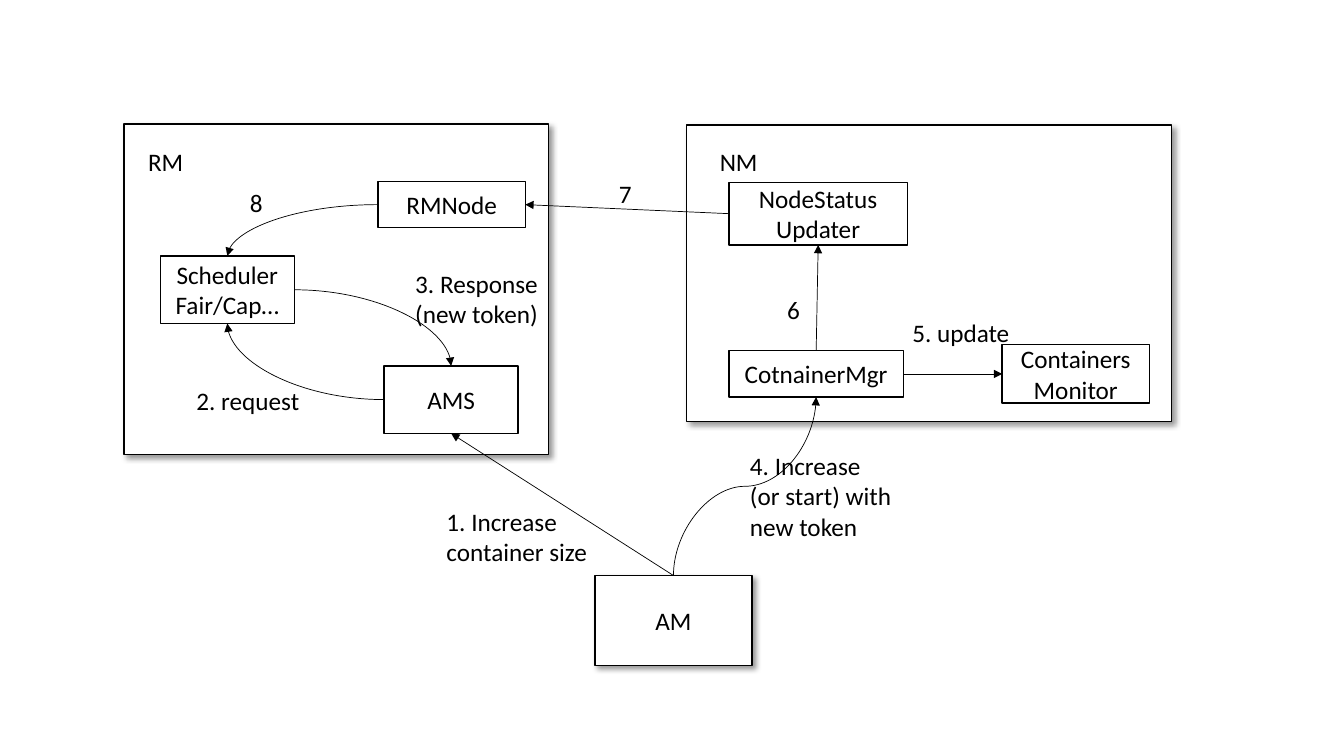
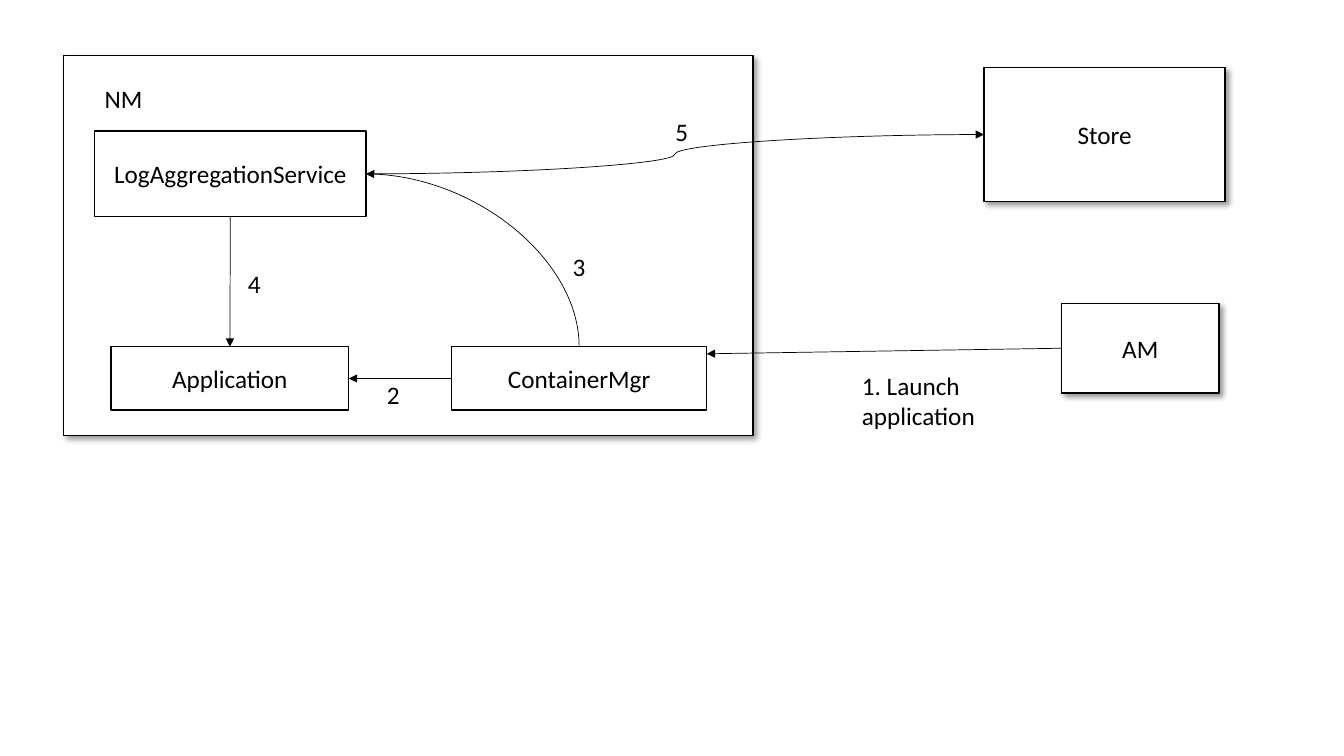
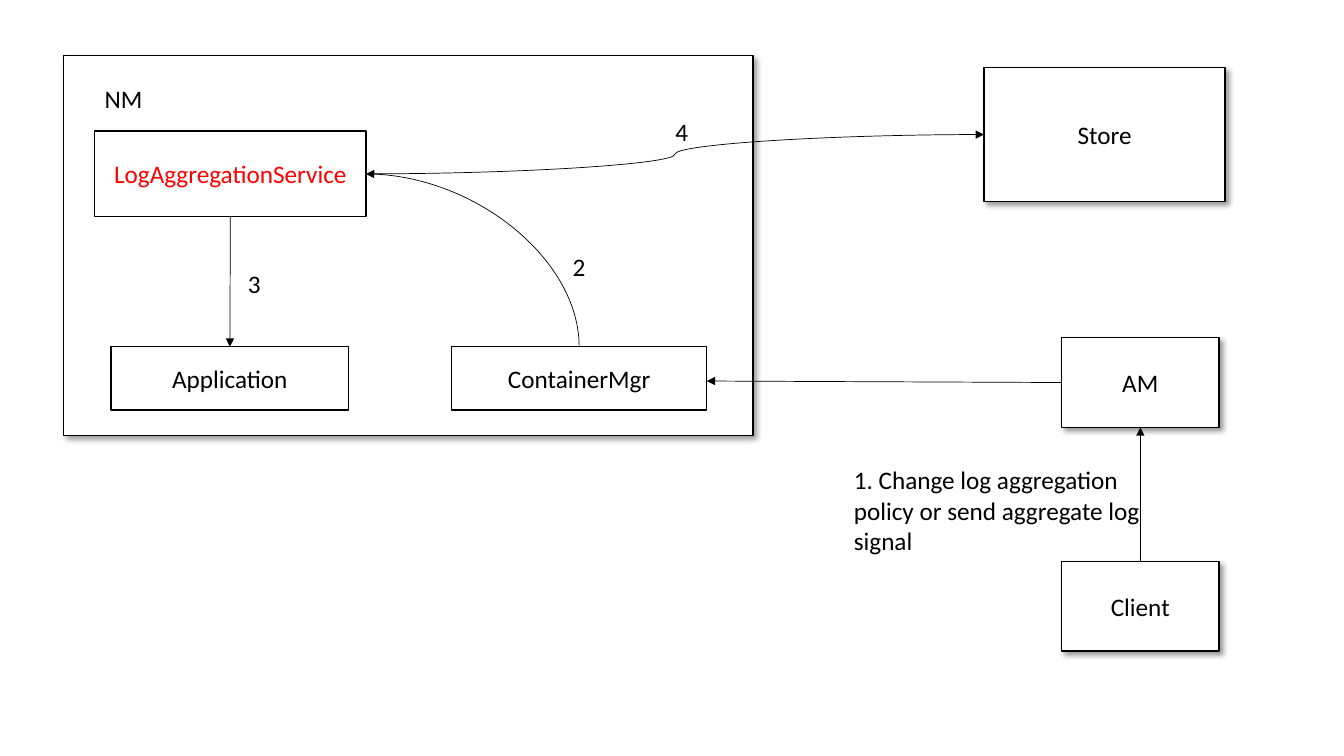
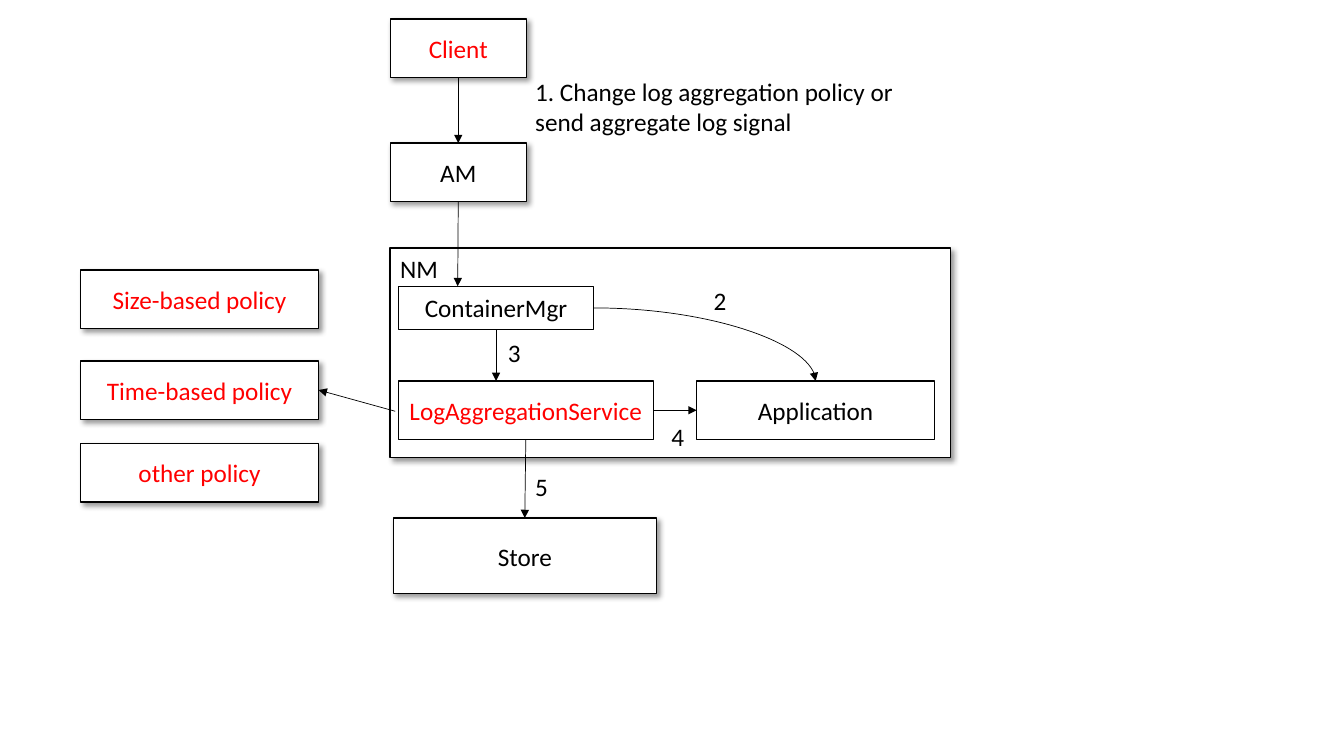
from lxml import etree
from pptx import Presentation
from pptx.dml.color import RGBColor
from pptx.enum import shapes, text
from pptx.oxml import ns
from pptx.util import Inches, Pt

BLACK = RGBColor(0x00, 0x00, 0x00)
WHITE = RGBColor(0xFF, 0xFF, 0xFF)
RED = RGBColor(0xFF, 0x00, 0x00)
FONT, SIZE = "Calibri", Pt(18)
TOP, LEFT, BOTTOM, RIGHT = range(4)
STRAIGHT, ARC, WAVE = "line", "curvedConnector2", "curvedConnector3"
NODE = (1.56, 0.89)
STORAGE = "Store"
CHANGE = "1. Change log aggregation policy or send aggregate log signal"


def child(parent, tag, **attrs):
    """Append a DrawingML element to a parent and return it."""
    return etree.SubElement(parent, ns.qn(tag), {k: str(v) for k, v in attrs.items()})


def write(tf, words, color, align):
    """Fill a text frame, one paragraph per line."""
    tf.word_wrap = True
    tf.text = words
    for p in tf.paragraphs:
        p.alignment = align
        p.font.name, p.font.size, p.font.color.rgb = FONT, SIZE, color


def box(s, x, y, w, h, words="", color=BLACK, raised=False):
    """Draw a white outlined box with centred text, raised by a shadow if asked."""
    sp = s.shapes.add_shape(shapes.MSO_SHAPE.RECTANGLE, *map(Inches, (x, y, w, h)))
    sp.shadow.inherit = False
    sp.fill.solid()
    sp.fill.fore_color.rgb = WHITE
    sp.line.color.rgb, sp.line.width = BLACK, Pt(1)
    if raised:
        effects = sp._element.spPr.find(ns.qn("a:effectLst"))
        shadow = child(effects, "a:outerShdw", blurRad=Pt(4), dist=Pt(3),
                       dir=45 * 60000, algn="tl", rotWithShape=0)
        child(child(shadow, "a:srgbClr", val=BLACK), "a:alpha", val=40000)
    if words:
        sp.text_frame.vertical_anchor = text.MSO_ANCHOR.MIDDLE
        write(sp.text_frame, words, color, text.PP_ALIGN.CENTER)
    return sp


def label(s, x, y, words, w=1.63, h=0.4):
    """Place a left-aligned label that grows with its text."""
    tb = s.shapes.add_textbox(*map(Inches, (x, y, w, h)))
    write(tb.text_frame, words, BLACK, text.PP_ALIGN.LEFT)
    tb.text_frame.auto_size = text.MSO_AUTO_SIZE.SHAPE_TO_FIT_TEXT


def locate(end):
    """Return the point of an end: a (shape, site) pair or a pair of inches."""
    sp, site = end
    if isinstance(sp, (int, float)):
        return Inches(sp), Inches(site)
    across, down = {TOP: (1, 0), LEFT: (0, 1), BOTTOM: (1, 2), RIGHT: (2, 1)}[site]
    return sp.left + sp.width * across // 2, sp.top + sp.height * down // 2


def stand_up(c, x1, y1, x2, y2):
    """Turn a connector by a quarter so that it leaves its start vertically."""
    dx, dy = x2 - x1, y2 - y1
    c.width, c.height = abs(dy), abs(dx)
    c.left, c.top = (x1 + x2 - abs(dy)) // 2, (y1 + y2 - abs(dx)) // 2
    xfrm = c._element.spPr.find(ns.qn("a:xfrm"))
    xfrm.set("rot", str(90 * 60000))
    xfrm.set("flipH", str(int(dy < 0)))
    xfrm.set("flipV", str(int(dx > 0)))


def arrow(s, start, end, route=STRAIGHT):
    """Join two ends with a thin arrow, glued wherever an end is a shape."""
    kind = shapes.MSO_CONNECTOR.STRAIGHT if route == STRAIGHT else shapes.MSO_CONNECTOR.CURVE
    points = *locate(start), *locate(end)
    c = s.shapes.add_connector(kind, *points)
    if not isinstance(start[0], (int, float)):
        c.begin_connect(*start)
    if not isinstance(end[0], (int, float)):
        c.end_connect(*end)
    c.line.color.rgb, c.line.width = BLACK, Pt(0.5)
    child(c.line._get_or_add_ln(), "a:tailEnd", type="triangle")
    props = c._element.spPr
    child(props, "a:effectLst")
    if route != STRAIGHT:
        props.find(ns.qn("a:prstGeom")).set("prst", route)
        if start[1] in (TOP, BOTTOM):
            stand_up(c, *points)


def panel(s, x, y, w, h, name, dx, dy):
    """Draw a raised panel with its name at an offset from the corner."""
    box(s, x, y, w, h, raised=True)
    label(s, x + dx, y + dy, name, 0.89)


def resource_manager(s, x, y):
    """Draw the RM panel and return its node and its master service."""
    panel(s, x, y, 4.21, 3.28, "RM", 0.14, 0.17)
    ams = box(s, x + 2.58, y + 2.4, 1.33, 0.67, "AMS")
    node = box(s, x + 2.52, y + 0.57, 1.46, 0.46, "RMNode")
    scheduler = box(s, x + 0.36, y + 1.31, 1.33, 0.67, "Scheduler\nFair/Cap…")
    arrow(s, (ams, LEFT), (scheduler, BOTTOM), ARC)
    arrow(s, (scheduler, RIGHT), (ams, TOP), ARC)
    arrow(s, (node, LEFT), (scheduler, TOP), ARC)
    label(s, x + 0.62, y + 2.54, "2. request", 1.34)
    label(s, x + 2.79, y + 1.38, "3. Response (new token)", h=0.71)
    label(s, x + 1.15, y + 0.58, "8")
    return node, ams


def node_manager(s, x, y):
    """Draw the NM panel and return its status updater and container manager."""
    panel(s, x, y, 4.81, 2.94, "NM", 0.23, 0.16)
    updater = box(s, x + 0.42, y + 0.57, 1.77, 0.62, "NodeStatus\nUpdater")
    manager = box(s, x + 0.42, y + 2.24, 1.73, 0.46, "CotnainerMgr")
    monitor = box(s, x + 3.13, y + 2.18, 1.46, 0.58, "Containers\nMonitor")
    arrow(s, (manager, RIGHT), (monitor, LEFT))
    arrow(s, (manager, TOP), (updater, BOTTOM))
    label(s, x + 2.14, y + 1.86, "5. update")
    label(s, x + 0.9, y + 1.63, "6")
    return updater, manager


def resize_slide(s):
    """Show how a container is resized."""
    node, ams = resource_manager(s, 1.23, 1.23)
    updater, manager = node_manager(s, 6.81, 1.24)
    am = box(s, 5.9, 5.71, *NODE, "AM", raised=True)
    arrow(s, (am, TOP), (ams, BOTTOM))
    arrow(s, (am, TOP), (manager, BOTTOM), WAVE)
    arrow(s, (updater, LEFT), (node, RIGHT))
    label(s, 4.33, 4.97, "1. Increase container size", h=0.71)
    label(s, 7.34, 4.42, "4. Increase (or start) with new token", h=1.01)
    label(s, 6.04, 1.72, "7")


def log_manager(s, x, y, color, to_service, to_application):
    """Draw the wide NM panel with its numbered steps and return its boxes."""
    panel(s, x, y, 6.84, 3.77, "NM", 0.31, 0.23)
    service = box(s, x + 0.31, y + 0.75, 2.69, 0.85, "LogAggregationService", color)
    application = box(s, x + 0.47, y + 2.89, 2.36, 0.63, "Application")
    manager = box(s, x + 3.85, y + 2.89, 2.53, 0.63, "ContainerMgr")
    arrow(s, (manager, TOP), (service, RIGHT), ARC)
    arrow(s, (service, BOTTOM), (application, TOP))
    label(s, x + 4.95, y + 1.89, to_service, 2.22)
    label(s, x + 1.73, y + 2.06, to_application, 3.16)
    return service, application, manager


def log_parts(s, am_y, color, steps):
    """Draw what both wide log slides share and return the boxes to join."""
    service, application, manager = log_manager(s, 0.63, 0.55, color, *steps[:2])
    am = box(s, 10.53, am_y, *NODE, "AM", raised=True)
    storage = box(s, 9.76, 0.67, 2.39, 1.33, STORAGE, raised=True)
    arrow(s, (service, RIGHT), (storage, LEFT), WAVE)
    label(s, 6.6, 1.11, steps[2], 3.16)
    return application, manager, am


def launch_slide(s):
    """Show log aggregation from the launch of an application."""
    application, manager, am = log_parts(s, 3.01, BLACK, "345")
    arrow(s, (am, LEFT), (7.01, 3.51))
    arrow(s, (manager, LEFT), (application, RIGHT))
    label(s, 8.45, 3.62, "1. Launch application", h=0.71)
    label(s, 3.74, 3.71, "2")


def signal_slide(s):
    """Show log aggregation changed by a client."""
    _, _, am = log_parts(s, 3.35, RED, "234")
    client = box(s, 10.53, 5.57, *NODE, "Client", raised=True)
    arrow(s, (am, LEFT), (7.01, 3.78))
    arrow(s, (client, TOP), (am, BOTTOM))
    label(s, 8.37, 4.56, CHANGE, 3.17, 1.01)


def policy_manager(s, x, y):
    """Draw the NM panel of the policy slide and return its log service."""
    panel(s, x, y, 5.56, 2.08, "NM", 0, 0)
    manager = box(s, x + 0.08, y + 0.38, 1.94, 0.43, "ContainerMgr")
    service = box(s, x + 0.08, y + 1.32, 2.53, 0.58, "LogAggregationService", RED)
    application = box(s, x + 3.04, y + 1.32, 2.36, 0.58, "Application")
    arrow(s, (manager, RIGHT), (application, TOP), ARC)
    arrow(s, (manager, BOTTOM), (x + 1.05, y + 1.32))
    arrow(s, (service, RIGHT), (application, LEFT))
    label(s, x + 3.11, y + 0.32, "2", 2.22)
    label(s, x + 1.07, y + 0.84, "3", 3.16)
    label(s, x + 2.69, y + 1.67, "4", 3.16)
    return service


def policies(s, x):
    """Draw the column of log policies."""
    for y, name in ((2.68, "Size-based policy"), (3.58, "Time-based policy"),
                    (4.4, "other policy")):
        box(s, x, y, 2.36, 0.58, name, RED, raised=True)


def policy_slide(s):
    """Show the policies behind log aggregation."""
    client = box(s, 3.87, 0.19, 1.35, 0.58, "Client", RED, raised=True)
    am = box(s, 3.87, 1.42, 1.35, 0.58, "AM", raised=True)
    service = policy_manager(s, 3.87, 2.46)
    storage = box(s, 3.9, 5.14, 2.61, 0.75, STORAGE, raised=True)
    policies(s, 0.8)
    arrow(s, (client, BOTTOM), (am, TOP))
    arrow(s, (am, BOTTOM), (4.54, 2.84))
    arrow(s, (service, BOTTOM), (storage, TOP))
    arrow(s, (3.92, 4.08), (3.16, 3.87))
    label(s, 5.21, 0.71, CHANGE, 3.8, 0.71)
    label(s, 5.21, 4.63, "5", 3.16)


def main():
    """Build and save the presentation."""
    prs = Presentation()
    prs.slide_width, prs.slide_height = Inches(13.33), Inches(7.5)
    for build in (resize_slide, launch_slide, signal_slide, policy_slide):
        build(prs.slides.add_slide(prs.slide_layouts[6]))
    prs.save("out.pptx")


if __name__ == "__main__":
    main()
